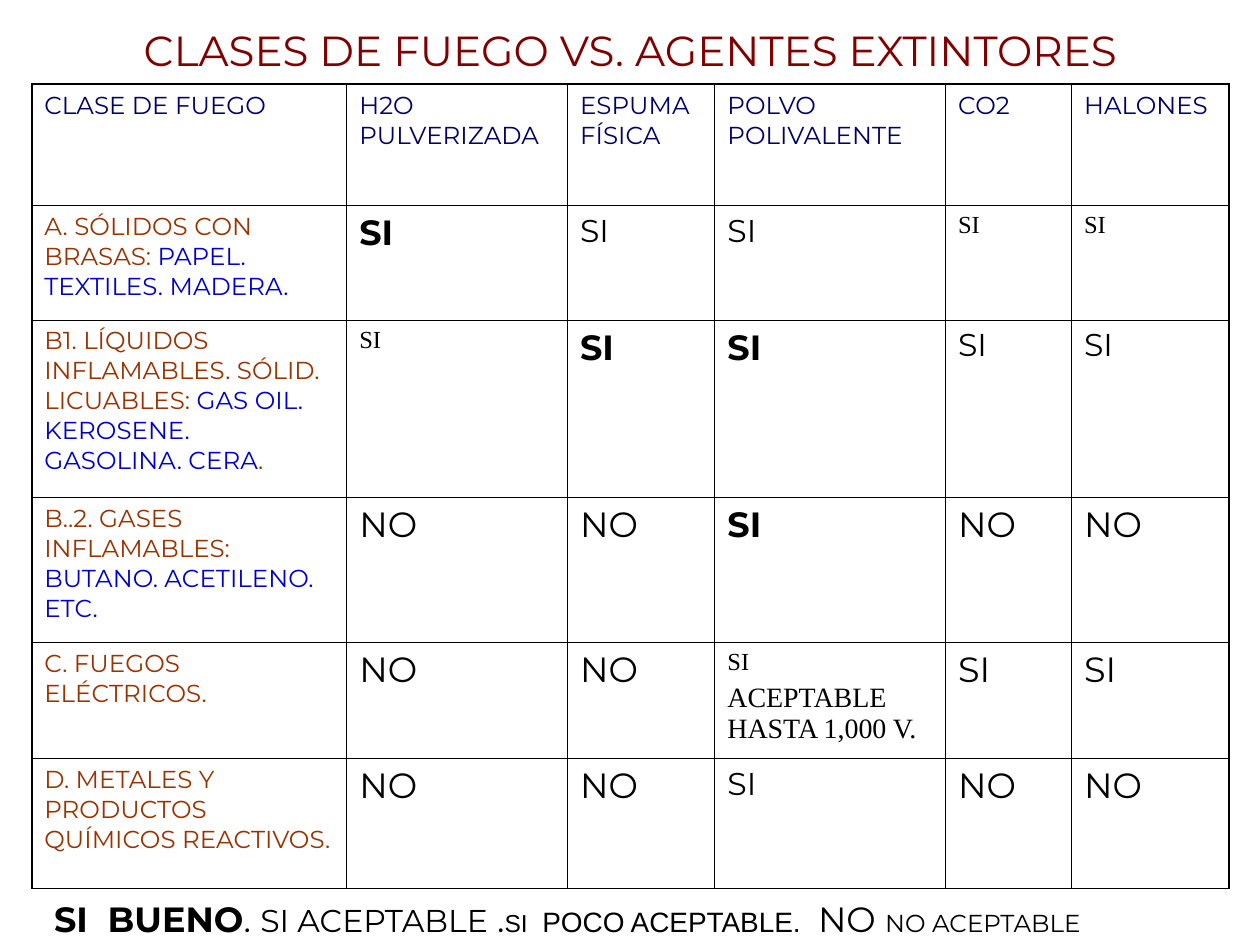
from lxml import etree
from pptx import Presentation
from pptx.dml.color import RGBColor
from pptx.enum.text import MSO_ANCHOR, PP_ALIGN
from pptx.oxml.ns import qn
from pptx.util import Cm, Pt

# Content
SANS, SERIF, ARIAL = "Montserrat", "Times New Roman", "Arial"
BLACK, MAROON, NAVY, BROWN, BLUE = "000000", "800000", "000066", "993300", "0000CC"

TITLE = "CLASES DE FUEGO VS. AGENTES EXTINTORES"
HEADERS = ["CLASE DE FUEGO", "H2O PULVERIZADA", "ESPUMA FÍSICA",
           "POLVO POLIVALENTE", "CO2", "HALONES"]

# Rating: text, font, size, bold
GOOD = ("SI", SANS, 20, True)
LARGE = ("SI", SANS, 20, False)
FAIR = ("SI", SANS, 18, False)
POOR = ("SI", SERIF, 14, False)
NO = ("NO", SANS, 20, False)
LIMIT = ("ACEPTABLE HASTA 1,000 V.", SERIF, 16, False)

# Fire class: (text, colour) pieces, then the ratings of each agent
ROWS = [
    ([("A. SÓLIDOS CON BRASAS: ", BROWN), ("PAPEL. TEXTILES. MADERA.", BLUE)],
     [[GOOD], [FAIR], [FAIR], [POOR], [POOR]]),
    ([("B1. LÍQUIDOS INFLAMABLES. SÓLID. LICUABLES: ", BROWN),
      ("GAS OIL. KEROSENE. GASOLINA. CERA", BLUE), (".", BROWN)],
     [[POOR], [GOOD], [GOOD], [FAIR], [FAIR]]),
    ([("B..2. GASES INFLAMABLES: ", BROWN), ("BUTANO. ACETILENO. ETC.", BLUE)],
     [[NO], [NO], [GOOD], [NO], [NO]]),
    ([("C. FUEGOS ELÉCTRICOS.", BROWN)],
     [[NO], [NO], [POOR, LIMIT], [LARGE], [LARGE]]),
    ([("D. METALES Y PRODUCTOS QUÍMICOS REACTIVOS.", BROWN)],
     [[NO], [NO], [FAIR], [NO], [NO]]),
]

LEGEND = [
    ("SI  BUENO", SANS, 20, True), (". ", SANS, 20, False),
    ("SI ACEPTABLE", SANS, 18, False), (" .", SANS, 20, False),
    ("SI ", ARIAL, 14, False), (" POCO ACEPTABLE. ", ARIAL, 16, False),
    (" NO ", SANS, 20, False), ("NO ACEPTABLE", SANS, 14, False),
]

COLUMN_WIDTHS = [6.35, 4.45, 2.97, 4.65, 2.54, 3.17]
ROW_HEIGHTS = [2.44, 2.31, 3.58, 2.92, 2.34, 2.62]
INNER_LINE, OUTER_LINE = 0.45, 1.08


def set_font(font, name=None, size=None, color=None, bold=None):
    if name:
        font.name = name
    if size:
        font.size = Pt(size)
    if color:
        font.color.rgb = RGBColor.from_string(color)
    if bold is not None:
        font.bold = bold


def add_text_box(slide, left, top, width, height):
    frame = slide.shapes.add_textbox(Cm(left), Cm(top), Cm(width), Cm(height)).text_frame
    frame.word_wrap = True
    return frame


def set_borders(cell, widths):
    properties = cell._tc.get_or_add_tcPr()
    for index, (side, width) in enumerate(widths.items()):
        line = etree.Element(qn(f"a:ln{side}"), w=str(Pt(width)))
        fill = etree.SubElement(line, qn("a:solidFill"))
        etree.SubElement(fill, qn("a:srgbClr"), val=BLACK)
        properties.insert(index, line)


def write_pieces(cell, pieces):
    paragraph = cell.text_frame.paragraphs[0]
    set_font(paragraph.font, SANS, 14, pieces[0][1])
    for text, color in pieces:
        run = paragraph.add_run()
        run.text = text
        if color != pieces[0][1]:
            set_font(run.font, color=color)


def write_ratings(cell, ratings):
    frame = cell.text_frame
    for index, (text, name, size, bold) in enumerate(ratings):
        paragraph = frame.add_paragraph() if index else frame.paragraphs[0]
        paragraph.text = text
        if index:
            paragraph.space_before = Pt(size / 4)
        set_font(paragraph.font, name, size, BLACK, bold)


presentation = Presentation()
presentation.slide_width, presentation.slide_height = Cm(25.4), Cm(19.05)
slide = presentation.slides.add_slide(presentation.slide_layouts[6])

# Title
title = add_text_box(slide, 0.64, 0.43, 24.13, 1.14)
title.vertical_anchor = MSO_ANCHOR.MIDDLE
paragraph = title.paragraphs[0]
paragraph.text = TITLE
paragraph.alignment = PP_ALIGN.CENTER
set_font(paragraph.font, SANS, 24, MAROON)

# Table grid
row_count, column_count = len(ROW_HEIGHTS), len(COLUMN_WIDTHS)
table = slide.shapes.add_table(
    row_count, column_count, Cm(0.64), Cm(1.7),
    Cm(sum(COLUMN_WIDTHS)), Cm(sum(ROW_HEIGHTS))).table
table.first_row = table.horz_banding = False
for column, width in zip(table.columns, COLUMN_WIDTHS):
    column.width = Cm(width)
for row, height in zip(table.rows, ROW_HEIGHTS):
    row.height = Cm(height)

# Borders: thicker round the outside
for r in range(row_count):
    for c in range(column_count):
        cell = table.cell(r, c)
        cell.fill.background()
        on_edge = {"L": c == 0, "R": c == column_count - 1,
                   "T": r == 0, "B": r == row_count - 1}
        set_borders(cell, {side: OUTER_LINE if outer else INNER_LINE
                           for side, outer in on_edge.items()})

# Table text
for c, header in enumerate(HEADERS):
    write_pieces(table.cell(0, c), [(header, NAVY)])
for r, (fire_class, agents) in enumerate(ROWS, start=1):
    write_pieces(table.cell(r, 0), fire_class)
    for c, ratings in enumerate(agents, start=1):
        write_ratings(table.cell(r, c), ratings)

# Legend
paragraph = add_text_box(slide, 0.84, 17.96, 24.56, 1.12).paragraphs[0]
set_font(paragraph.font, color=BLACK)
for text, name, size, bold in LEGEND:
    run = paragraph.add_run()
    run.text = text
    set_font(run.font, name, size, bold=bold)

presentation.save("out.pptx")
